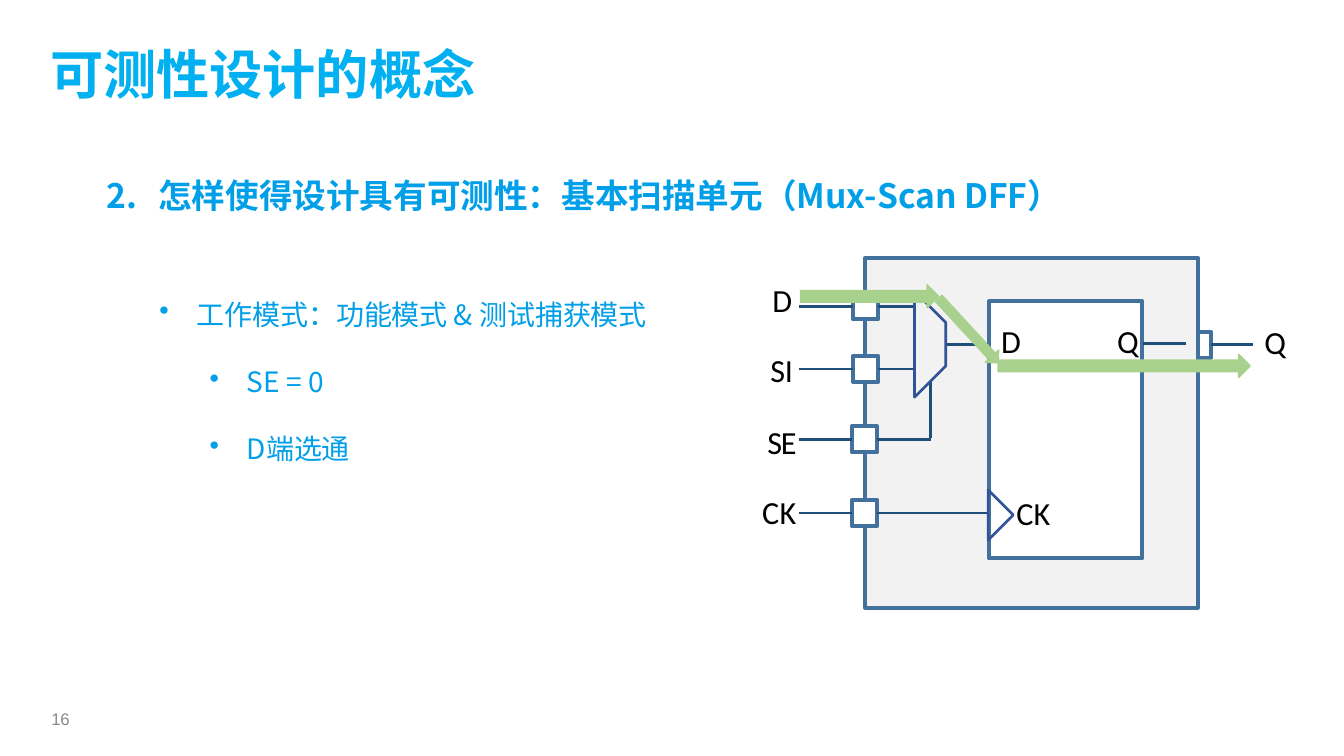
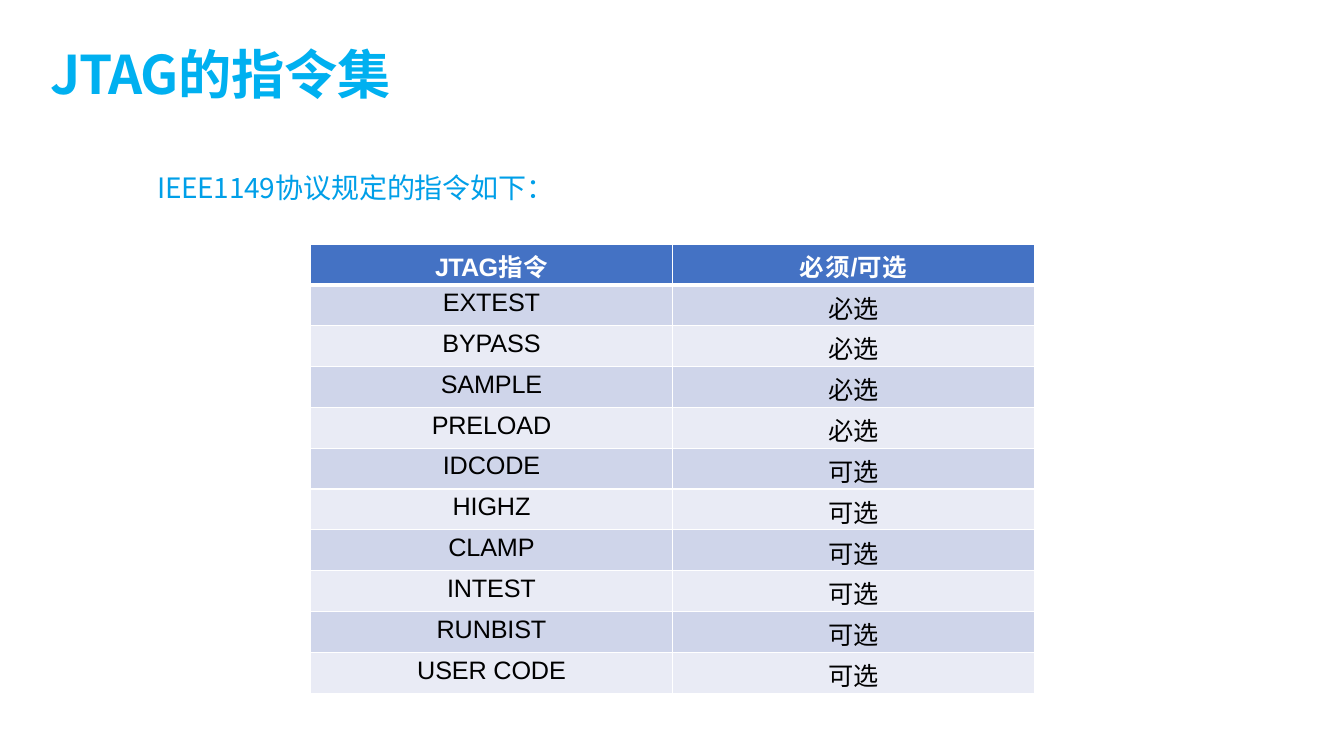
from math import atan2, degrees, hypot

from pptx import Presentation
from pptx.dml.color import RGBColor
from pptx.enum.shapes import MSO_CONNECTOR, MSO_SHAPE as SHAPE
from pptx.enum.text import PP_ALIGN
from pptx.oxml.ns import qn
from pptx.util import Inches, Pt
from lxml.etree import SubElement

TITLE_BLUE = RGBColor(0x00, 0xB0, 0xF0)
TEXT_BLUE = RGBColor(0x00, 0x9F, 0xE8)
PAGE_GRAY = RGBColor(0x89, 0x89, 0x89)
BLACK = RGBColor(0, 0, 0)
WHITE = RGBColor(0xFF, 0xFF, 0xFF)
CELL_GRAY = RGBColor(0xF2, 0xF2, 0xF2)
BOX_EDGE = RGBColor(0x41, 0x71, 0x9C)
WIRE_BLUE = RGBColor(0x1E, 0x4E, 0x79)
SYMBOL_BLUE = RGBColor(0x30, 0x54, 0x97)
PATH_GREEN = RGBColor(0xA9, 0xD1, 0x8E)
HEADER_BLUE = RGBColor(0x44, 0x72, 0xC4)
BANDS = (RGBColor(0xCF, 0xD5, 0xEA), RGBColor(0xE9, 0xEB, 0xF5))
CJK, CJK_TABLE_HEAD = "Noto Sans CJK SC", "Noto Sans CJK TC"
LATIN, LABEL_FONT = "Arial", "Calibri"


class Deck:
    """Holds the presentation, its style and the current slide."""

    def __init__(self):
        self.prs = Presentation()
        self.prs.slide_width, self.prs.slide_height = Inches(13.33), Inches(7.5)

    def new_slide(self, title_runs, title_width):
        self.slide = self.prs.slides.add_slide(self.prs.slide_layouts[6])
        title = self.text_box(0.5, 0.4, title_width, 0.66)
        self.add_runs(title.paragraphs[0], title_runs, 38, TITLE_BLUE, bold=True)

    def text_box(self, left, top, width, height, wrap=True):
        frame = self.slide.shapes.add_textbox(
            Inches(left), Inches(top), Inches(width), Inches(height)).text_frame
        frame.margin_left = frame.margin_right = frame.margin_bottom = 0
        frame.margin_top = Inches(0.01)
        frame.word_wrap = wrap
        return frame

    def add_runs(self, paragraph, runs, size, color, font=CJK, bold=False):
        """Add (text, letter spacing in points) pairs in one style."""
        for text, spacing in runs:
            run = paragraph.add_run()
            run.text = text
            run.font.size, run.font.bold, run.font.name = Pt(size), bold, font
            run.font.color.rgb = color
            properties = run.font._element
            properties.set("spc", str(round(spacing * 100)))
            SubElement(properties, qn("a:ea")).set("typeface", font)

    def tab_stop(self, paragraph, position):
        tabs = SubElement(paragraph._p.get_or_add_pPr(), qn("a:tabLst"))
        tab = SubElement(tabs, qn("a:tab"))
        tab.set("pos", str(Inches(position)))
        tab.set("algn", "l")

    def bullets(self, left, top, width, height, items):
        """Each item is (text start, space before, runs)."""
        frame = self.text_box(left, top, width, height)
        for index, (start, space, runs) in enumerate(items):
            paragraph = frame.add_paragraph() if index else frame.paragraphs[0]
            properties = paragraph._p.get_or_add_pPr()
            properties.set("marL", str(Inches(start)))
            properties.set("indent", str(Inches(-0.37)))
            SubElement(properties, qn("a:buChar")).set("char", "•")
            self.tab_stop(paragraph, start)
            if space:
                paragraph.space_before = Pt(space)
            self.add_runs(paragraph, runs, 20, TEXT_BLUE)

    def label(self, text, left, top, spacing=-0.5):
        frame = self.text_box(left, top, 0.38, 0.41, wrap=False)
        self.add_runs(frame.paragraphs[0], [(text, spacing)], 23, BLACK, LABEL_FONT)

    def page_number(self, number):
        frame = self.text_box(0.51, 7.02, 0.24, 0.25, wrap=False)
        self.add_runs(frame.paragraphs[0], [(number, -0.2)], 12, PAGE_GRAY, LATIN)

    def paint(self, shape, fill, edge, weight):
        shape.shadow.inherit = False
        if fill is None:
            shape.fill.background()
        else:
            shape.fill.solid()
            shape.fill.fore_color.rgb = fill
        shape.line.color.rgb, shape.line.width = edge, Pt(weight)

    def block(self, left, top, width, height, fill=WHITE):
        shape = self.slide.shapes.add_shape(
            SHAPE.RECTANGLE, Inches(left), Inches(top), Inches(width), Inches(height))
        self.paint(shape, fill, BOX_EDGE, 2.86)

    def symbol(self, first, *others):
        """Unfilled closed outline through the given points."""
        builder = self.slide.shapes.build_freeform(*map(Inches, first))
        builder.add_line_segments([tuple(map(Inches, point)) for point in others])
        self.paint(builder.convert_to_shape(), None, SYMBOL_BLUE, 1.9)

    def wire(self, x1, y1, x2, y2):
        line = self.slide.shapes.add_connector(
            MSO_CONNECTOR.STRAIGHT, *map(Inches, (x1, y1, x2, y2)))
        line.line.color.rgb, line.line.width = WIRE_BLUE, Pt(1.9)
        SubElement(line._element.spPr, qn("a:effectLst"))

    def signal_arrow(self, x1, y1, x2, y2, thickness):
        """Block arrow from one point to another, turned to fit."""
        length = hypot(x2 - x1, y2 - y1)
        arrow = self.slide.shapes.add_shape(
            SHAPE.RIGHT_ARROW, Inches((x1 + x2 - length) / 2),
            Inches((y1 + y2 - thickness) / 2), Inches(length), Inches(thickness))
        arrow.rotation = degrees(atan2(y2 - y1, x2 - x1))
        self.paint(arrow, PATH_GREEN, PATH_GREEN, 1)

    def table(self, left, top, column_width, height, row_count, column_count):
        table = self.slide.shapes.add_table(
            row_count, column_count, Inches(left), Inches(top),
            Inches(column_width * column_count), Inches(height)).table
        for column in table.columns:
            column.width = Inches(column_width)
        for row in table.rows:
            row.height = Inches(height / row_count)
        return table

    def cell(self, cell, fill, edges):
        """Style a cell and return its paragraph; edges maps side to points."""
        cell.margin_left = cell.margin_right = cell.margin_bottom = 0
        cell.margin_top = Inches(0.04)
        properties = cell._tc.get_or_add_tcPr()
        for side, weight in edges.items():
            border = SubElement(properties, qn(f"a:ln{side}"))
            border.set("w", str(Pt(weight)))
            color = SubElement(SubElement(border, qn("a:solidFill")), qn("a:srgbClr"))
            color.set("val", str(WHITE))
        cell.fill.solid()
        cell.fill.fore_color.rgb = fill
        paragraph = cell.text_frame.paragraphs[0]
        paragraph.alignment = PP_ALIGN.CENTER
        return paragraph


def scan_cell_diagram(deck):
    pin = 0.25
    deck.label("CK", 7.56, 4.87, 0.2)
    deck.block(11.76, 3.29, pin, 0.26)
    deck.wire(12.01, 3.42, 12.43, 3.42)
    deck.block(8.58, 2.56, 3.3, 3.47, CELL_GRAY)
    deck.block(9.81, 2.99, 1.52, 2.55)

    # Input pins, each with its outer wire and its inner wire
    for pin_left, pin_top, wire_y, inner_end in (
            (8.46, 2.91, 3.04, 9.09), (8.46, 3.53, 3.66, 9.08),
            (8.45, 4.23, 4.36, 9.23), (8.45, 4.96, 5.09, 9.81)):
        deck.block(pin_left, pin_top, pin, 0.26)
        deck.wire(7.92, wire_y, pin_left, wire_y)
        deck.wire(pin_left + pin, wire_y, inner_end, wire_y)
    deck.wire(9.23, 4.35, 9.23, 3.79)
    deck.wire(9.38, 3.42, 9.8, 3.42)
    deck.wire(11.34, 3.41, 11.76, 3.41)

    deck.symbol((9.8, 4.86), (10.05, 5.11), (9.8, 5.36))
    deck.symbol((9.07, 2.89), (9.07, 3.94), (9.38, 3.63), (9.38, 3.2))

    for name, left, top, spacing in (
            ("D", 7.66, 2.77, -0.5), ("SI", 7.64, 3.47, -0.2),
            ("SE", 7.61, 4.18, -0.8), ("Q", 12.54, 3.19, -0.5),
            ("D", 9.93, 3.18, -0.5), ("CK", 10.08, 4.88, 0.2),
            ("Q", 11.08, 3.18, -0.5)):
        deck.label(name, left, top, spacing)

    deck.signal_arrow(7.94, 2.94, 9.31, 2.94, 0.23)
    deck.signal_arrow(9.31, 2.96, 9.9, 3.6, 0.18)
    deck.signal_arrow(9.9, 3.63, 12.4, 3.63, 0.23)


def scan_cell_slide(deck):
    deck.new_slide([("可测性设计的概念", -0.1)], 4.25)
    scan_cell_diagram(deck)
    deck.bullets(1.56, 2.94, 4.97, 1.69, [
        (0.39, 0, [("工作模式：功能模式 ", -0.1), ("&", 0), (" 测试捕获模式", -0.1)]),
        (0.89, 24, [("SE = ", 0), ("0", -0.6)]),
        (0.89, 24, [("D端选通", -0.2)]),
    ])
    heading = deck.text_box(1.06, 1.73, 9.6, 0.43).paragraphs[0]
    deck.tab_stop(heading, 0.51)
    deck.add_runs(heading, [
        ("2.", -0.2), ("\t怎样使得设计具有可测性：基本扫描单元", 0),
        ("（Mux-", -0.1), ("Scan ", 0), ("DFF）", -0.2),
    ], 24, TEXT_BLUE, bold=True)
    deck.page_number("16")


def instruction_slide(deck):
    deck.new_slide([("JTAG", -1.1), ("的指令集", -0.1)], 3.47)
    required = ("EXTEST", "BYPASS", "SAMPLE", "PRELOAD")
    optional = ("IDCODE", "HIGHZ", "CLAMP", "INTEST", "RUNBIST", "USER CODE")
    instructions = ([(name, "必选") for name in required]
                    + [(name, "可选") for name in optional])
    headers = (
        (("JTAG", 18, LATIN, -0.5), ("指令", 17.5, CJK_TABLE_HEAD, 0.4)),
        (("必须", 17.5, CJK_TABLE_HEAD, 0.7), ("/", 18, LATIN, -0.1),
         ("可选", 17.5, CJK_TABLE_HEAD, 0.4)),
    )
    table = deck.table(3.08, 2.42, 3.59, 4.46, len(instructions) + 1, len(headers))
    for column, parts in enumerate(headers):
        paragraph = deck.cell(table.cell(0, column), HEADER_BLUE,
                              {"L": 1, "R": 1, "T": 1, "B": 3})
        for text, size, font, spacing in parts:
            deck.add_runs(paragraph, [(text, spacing)], size, WHITE, font, True)
    for row, values in enumerate(instructions, 1):
        edges = {"L": 1, "R": 1, "T": 3 if row == 1 else 1, "B": 1}
        for column, (text, font, spacing) in enumerate(
                zip(values, (LATIN, CJK), (-0.1, -0.2))):
            paragraph = deck.cell(table.cell(row, column), BANDS[(row - 1) % 2], edges)
            deck.add_runs(paragraph, [(text, spacing)], 18, BLACK, font)

    intro = deck.text_box(1.56, 1.68, 3.99, 0.36).paragraphs[0]
    deck.add_runs(intro, [("IEEE1149", -0.2), ("协议规定的指令如下：", -0.1)],
                  20, TEXT_BLUE)


def main():
    deck = Deck()
    scan_cell_slide(deck)
    instruction_slide(deck)
    deck.prs.save("out.pptx")


if __name__ == "__main__":
    main()
